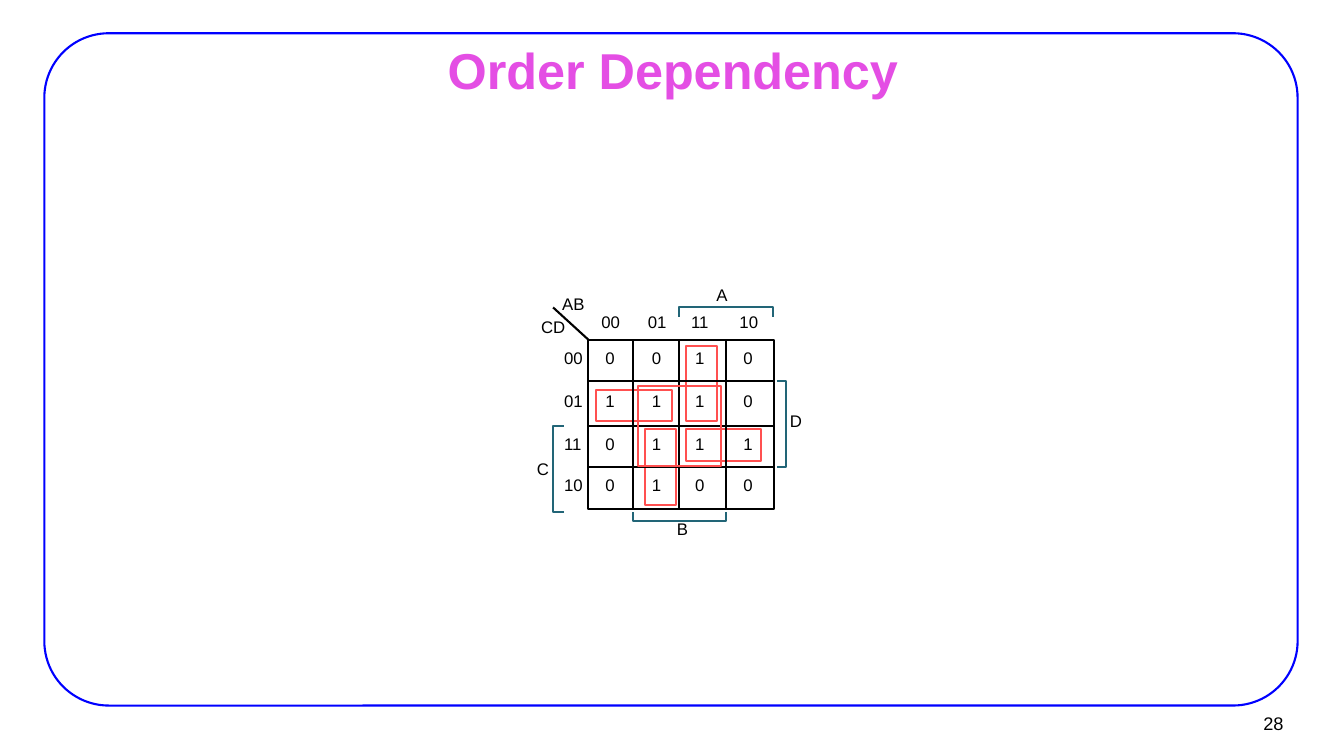
from lxml.etree import SubElement
from pptx import Presentation
from pptx.dml.color import RGBColor
from pptx.enum.shapes import MSO_CONNECTOR, MSO_SHAPE
from pptx.enum.text import MSO_ANCHOR, MSO_AUTO_SIZE, PP_ALIGN
from pptx.oxml.ns import qn
from pptx.util import Inches, Pt

HUES = {"frame": "0000FF", "title": "E44EE4", "loop": "FF5050",
        "grid": "000000", "brace": "226577", "text": "000000"}

ROWS = ["0010", "1110", "0111", "0100"]
CODES = ["00", "01", "11", "10"]
COL_X = [6.01, 6.47, 6.9, 7.38]
ROW_Y = [3.45, 3.88, 4.3, 4.71]
LEFT, TOP, RIGHT, BASE = 5.84, 3.37, 7.68, 5.05
COL_CUTS = [6.28, 6.74, 7.21]
ROW_CUTS = [3.78, 4.23, 4.63]

PAIRS = [(5.92, 3.87, 0.75, 0.31), (6.81, 4.26, 0.74, 0.31),
         (6.4, 4.26, 0.31, 0.75), (6.81, 3.43, 0.31, 0.75)]
QUAD = (6.33, 3.83, 0.83, 0.79)

BRACES = [
    [(6.74, 3.14), (6.74, 3.05), (7.67, 3.05), (7.67, 3.14)],
    [(5.6, 5.08), (5.49, 5.08), (5.49, 4.23), (5.6, 4.23)],
    [(7.21, 5.08), (7.21, 5.17), (6.28, 5.17), (6.28, 5.08)],
    [(7.71, 3.78), (7.8, 3.78), (7.8, 4.63), (7.71, 4.63)],
]
NAMES = [("AB", 5.58, 2.91, 0.27), ("CD", 5.37, 3.14, 0.29),
         ("A", 7.11, 2.82, 0.16), ("B", 6.72, 5.15, 0.16),
         ("C", 5.33, 4.55, 0.17), ("D", 7.84, 4.07, 0.17)]


def color(hue):
    return RGBColor.from_string(HUES[hue])


def stroke(item, hue):
    item.line.color.rgb = color(hue)
    item.line.width = Pt(1.5)


def outline(slide, box, hue, kind=MSO_SHAPE.RECTANGLE):
    shape = slide.shapes.add_shape(kind, *map(Inches, box))
    shape.shadow.inherit = False
    shape.fill.background()
    stroke(shape, hue)
    return shape


def rule(slide, *ends):
    """Draw a straight grid line from x1, y1 to x2, y2."""
    line = slide.shapes.add_connector(MSO_CONNECTOR.STRAIGHT, *map(Inches, ends))
    SubElement(line._element.spPr, qn("a:effectLst"))
    stroke(line, "grid")


def brace(slide, points):
    first, *rest = [(Inches(x), Inches(y)) for x, y in points]
    pen = slide.shapes.build_freeform(*first)
    pen.add_line_segments(rest, close=False)
    shape = pen.convert_to_shape()
    shape.shadow.inherit = False
    shape.fill.background()
    stroke(shape, "brace")


def write(slide, text, box, size=12, hue="text", bold=False,
          align=PP_ALIGN.LEFT, pad=(0, 0), **form):
    frame = slide.shapes.add_textbox(*map(Inches, box)).text_frame
    wide, high = map(Inches, pad)
    form = {"margin_left": wide, "margin_right": wide, "margin_top": high,
            "margin_bottom": high, "word_wrap": False, **form}
    for name, value in form.items():
        setattr(frame, name, value)
    para = frame.paragraphs[0]
    para.text = text
    para.alignment = align
    for name, value in {"name": "Arial", "size": Pt(size), "bold": bold}.items():
        setattr(para.font, name, value)
    para.font.color.rgb = color(hue)


def label(slide, text, x, y, width):
    write(slide, text, (x, y, width, 0.2),
          auto_size=MSO_AUTO_SIZE.SHAPE_TO_FIT_TEXT)


def grid(slide):
    outline(slide, (LEFT, TOP, RIGHT - LEFT, BASE - TOP), "grid")
    for y in ROW_CUTS:
        rule(slide, LEFT, y, RIGHT, y)
    for x in COL_CUTS:
        rule(slide, x, TOP, x, BASE)
    rule(slide, LEFT, TOP, 5.49, 3.05)


def values(slide):
    for code, x in zip(CODES, COL_X):
        label(slide, code, x - 0.04, 3.09, 0.23)
    for code, row, y in zip(CODES, ROWS, ROW_Y):
        label(slide, code, 5.6, y, 0.23)
        for bit, x in zip(row, COL_X):
            label(slide, bit, x, y, 0.14)


def main():
    deck = Presentation()
    deck.slide_width, deck.slide_height = Inches(13.34), Inches(7.5)
    slide = deck.slides.add_slide(deck.slide_layouts[6])

    border = outline(slide, (0.44, 0.33, 12.44, 6.67), "frame",
                     MSO_SHAPE.ROUNDED_RECTANGLE)
    border.adjustments[0] = 0.096
    write(slide, "28", (12.02, 6.99, 0.81, 0.37), 13, align=PP_ALIGN.RIGHT,
          pad=(0.09, 0.04), vertical_anchor=MSO_ANCHOR.MIDDLE)
    write(slide, "Order Dependency", (1.01, 0.44, 11.34, 0.49), 36, "title",
          True, PP_ALIGN.CENTER, (0.11, 0.06), word_wrap=True,
          vertical_anchor=MSO_ANCHOR.MIDDLE)

    for box in PAIRS:
        outline(slide, box, "loop")
    grid(slide)
    values(slide)
    for points in BRACES:
        brace(slide, points)
    for name in NAMES:
        label(slide, *name)
    outline(slide, QUAD, "loop")
    deck.save("out.pptx")


if __name__ == "__main__":
    main()
